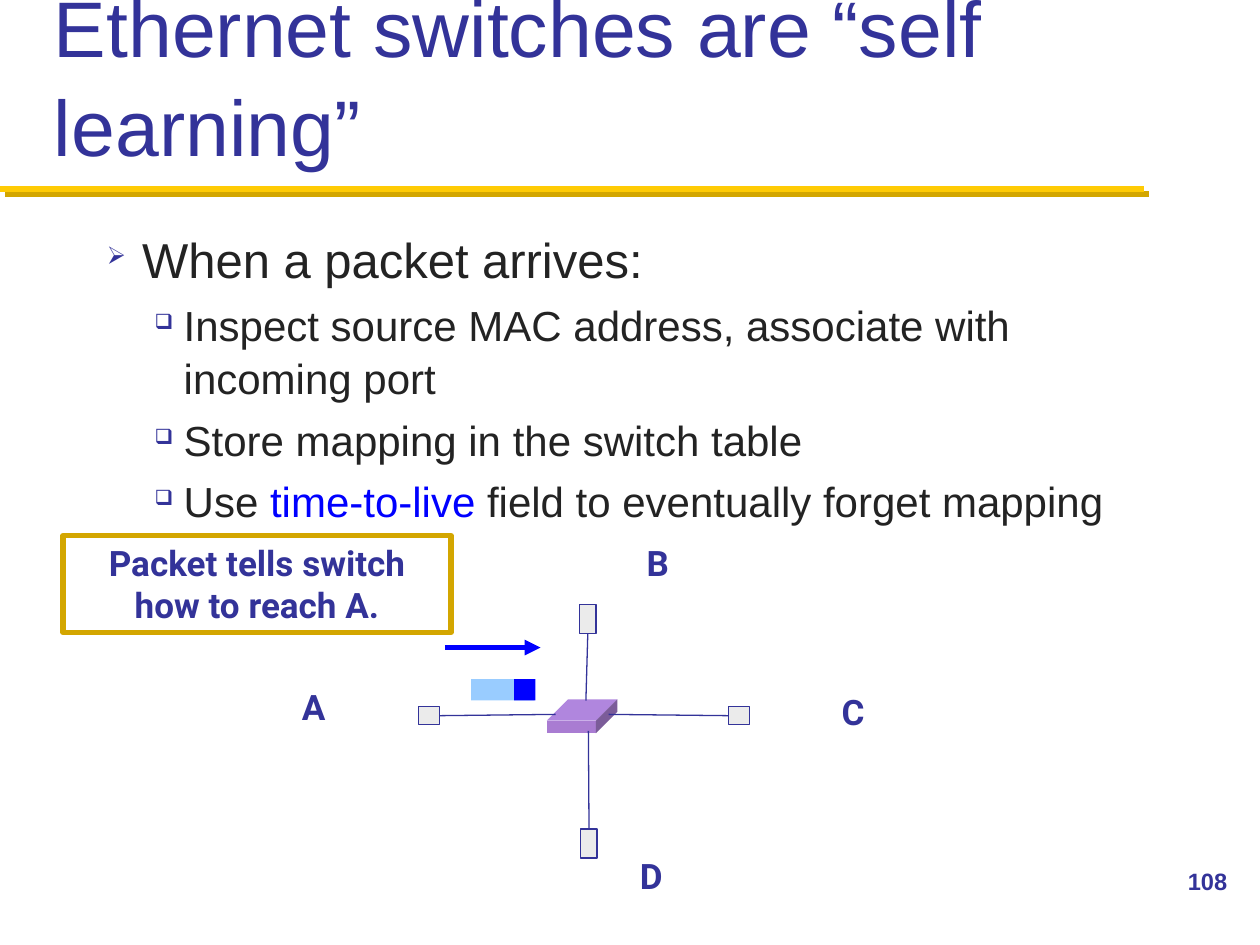
from lxml.etree import SubElement
from pptx import Presentation
from pptx.dml.color import RGBColor
from pptx.enum.shapes import MSO_CONNECTOR, MSO_SHAPE
from pptx.enum.text import MSO_ANCHOR, PP_ALIGN
from pptx.oxml.ns import qn
from pptx.util import Inches, Pt

NAVY = RGBColor(0x33, 0x33, 0x99)
BLUE = RGBColor(0x00, 0x00, 0xFF)
SKY = RGBColor(0x99, 0xCC, 0xFF)
INK = RGBColor(0x23, 0x23, 0x23)
GRAY = RGBColor(0xEB, 0xEB, 0xEB)
YELLOW = RGBColor(0xFF, 0xCB, 0x05)
GOLD = RGBColor(0xD3, 0xA6, 0x00)
SWITCH_TOP = RGBColor(0xB0, 0x86, 0xDE)
SWITCH_FRONT = RGBColor(0xA9, 0x7C, 0xD2)
SWITCH_SIDE = RGBColor(0x7B, 0x5C, 0x99)

TITLE = "Ethernet switches are “self learning”"
POINTS = [
    (0, [("When a packet arrives:", INK)]),
    (1, [("Inspect source MAC address, associate with incoming port", INK)]),
    (1, [("Store mapping in the switch table", INK)]),
    (1, [("Use ", INK), ("time-to-live", BLUE), (" field to eventually forget mapping", INK)]),
]
LEVELS = [("➢", 0.28, -0.28, 28), ("❑", 0.61, -0.23, 24)]
NOTE = "Packet tells switch how to reach A."
PAGE_NUMBER = "108"

LEFT, TOP, RIGHT, BOTTOM = 4.34, 5.55, 4.9, 5.82
DEPTH = 0.17
FRONT_TOP, FRONT_RIGHT = TOP + DEPTH, RIGHT - DEPTH
SWITCH_FACES = [
    (SWITCH_TOP, [(LEFT, FRONT_TOP), (LEFT + DEPTH, TOP), (RIGHT, TOP), (FRONT_RIGHT, FRONT_TOP)]),
    (SWITCH_FRONT, [(LEFT, FRONT_TOP), (FRONT_RIGHT, FRONT_TOP), (FRONT_RIGHT, BOTTOM), (LEFT, BOTTOM)]),
    (SWITCH_SIDE, [(FRONT_RIGHT, FRONT_TOP), (RIGHT, TOP), (RIGHT, BOTTOM - DEPTH), (FRONT_RIGHT, BOTTOM)]),
]
WIDE, TALL = (0.17, 0.14), (0.13, 0.23)
HOSTS = [
    ("A", (2.29, 5.39), (3.32, 5.61), WIDE, 3, (4.41, 5.67)),
    ("B", (5.02, 4.25), (4.6, 4.8), TALL, 2, (4.65, 5.56)),
    ("C", (6.57, 5.43), (5.78, 5.61), WIDE, 1, (4.83, 5.67)),
    ("D", (4.97, 6.73), (4.61, 6.58), TALL, 0, (4.67, 5.8)),
]


def paint(shape, fill=None, line=None, width=0.75):
    shape.shadow.inherit = False
    if fill is None:
        shape.fill.background()
    else:
        shape.fill.solid()
        shape.fill.fore_color.rgb = fill
    if line is None:
        shape.line.fill.background()
    else:
        shape.line.color.rgb = line
        shape.line.width = Pt(width)
    return shape


def add_rectangle(position, size, **style):
    box = map(Inches, (*position, *size))
    return paint(slide.shapes.add_shape(MSO_SHAPE.RECTANGLE, *box), **style)


def add_line(start, end, color, width):
    points = map(Inches, (*start, *end))
    line = slide.shapes.add_connector(MSO_CONNECTOR.STRAIGHT, *points)
    line.line.color.rgb = color
    line.line.width = Pt(width)
    SubElement(line._element.spPr, qn("a:effectLst"))
    return line


def add_text_box(position, size, anchor=MSO_ANCHOR.TOP):
    frame = slide.shapes.add_textbox(*map(Inches, (*position, *size))).text_frame
    frame.word_wrap = True
    frame.vertical_anchor = anchor
    return frame


def style_font(paragraph, name, size, color=NAVY, bold=False):
    font = paragraph.font
    font.name, font.size, font.bold = name, Pt(size), bold
    font.color.rgb = color


def write(frame, text, name, size, bold=False, align=PP_ALIGN.LEFT):
    paragraph = frame.paragraphs[0]
    paragraph.text = text
    paragraph.alignment = align
    style_font(paragraph, name, size, bold=bold)
    return paragraph


def add_bullet(paragraph, symbol, margin, indent):
    properties = paragraph._p.get_or_add_pPr()
    properties.set("marL", str(Inches(margin)))
    properties.set("indent", str(Inches(indent)))
    color = SubElement(properties, qn("a:buClr"))
    SubElement(color, qn("a:srgbClr"), val=str(NAVY))
    SubElement(properties, qn("a:buSzPct"), val="50000")
    SubElement(properties, qn("a:buChar"), char=symbol)


presentation = Presentation()
presentation.slide_width, presentation.slide_height = Inches(10), Inches(7.5)
slide = presentation.slides.add_slide(presentation.slide_layouts[6])

for offset, color in ((0.04, GOLD), (0, YELLOW)):
    add_line((offset, 1.5 + offset), (9.08 + offset, 1.5 + offset), color, 3.5)

title = add_text_box((0.33, 0.17), (9.33, 1.25), MSO_ANCHOR.BOTTOM)
write(title, TITLE, "Arial", 45).line_spacing = 1.05

body = add_text_box((0.75, 1.75), (8.67, 4.83))
for index, (level, runs) in enumerate(POINTS):
    paragraph = body.add_paragraph() if index else body.paragraphs[0]
    symbol, margin, indent, size = LEVELS[level]
    paragraph.level = level
    paragraph.line_spacing = 1.05
    paragraph.space_before = Pt(5 if index else 0)
    add_bullet(paragraph, symbol, margin, indent)
    style_font(paragraph, "Arial", size, INK)
    for text, color in runs:
        run = paragraph.add_run()
        run.text = text
        if color != INK:
            run.font.color.rgb = color

write(add_text_box((9.33, 6.83), (0.67, 0.5)), PAGE_NUMBER, "Arial", 13.5, bold=True)

for color, corners in SWITCH_FACES:
    points = [(Inches(x), Inches(y)) for x, y in corners]
    builder = slide.shapes.build_freeform(*points[0])
    builder.add_line_segments(points[1:], close=True)
    paint(builder.convert_to_shape(), fill=color)

for name, label_position, position, size, side, port in HOSTS:
    host = add_rectangle(position, size, fill=GRAY, line=NAVY)
    add_line(position, port, NAVY, 0.75).begin_connect(host, side)
    label = add_text_box(label_position, (0.4, 0.43))
    write(label, name, "Roboto", 20, bold=True, align=PP_ALIGN.CENTER)

add_rectangle((3.74, 5.39), (0.5, 0.17), fill=SKY)
add_rectangle((4.08, 5.39), (0.17, 0.17), fill=BLUE)

note = add_rectangle((0.5, 4.25), (3.08, 0.77), line=GOLD, width=3).text_frame
note.word_wrap = True
write(note, NOTE, "Roboto", 20, bold=True, align=PP_ALIGN.CENTER)

arrow = add_line((3.53, 5.14), (4.29, 5.14), BLUE, 3)
SubElement(arrow.line._get_or_add_ln(), qn("a:tailEnd"), type="triangle")

presentation.save("out.pptx")
